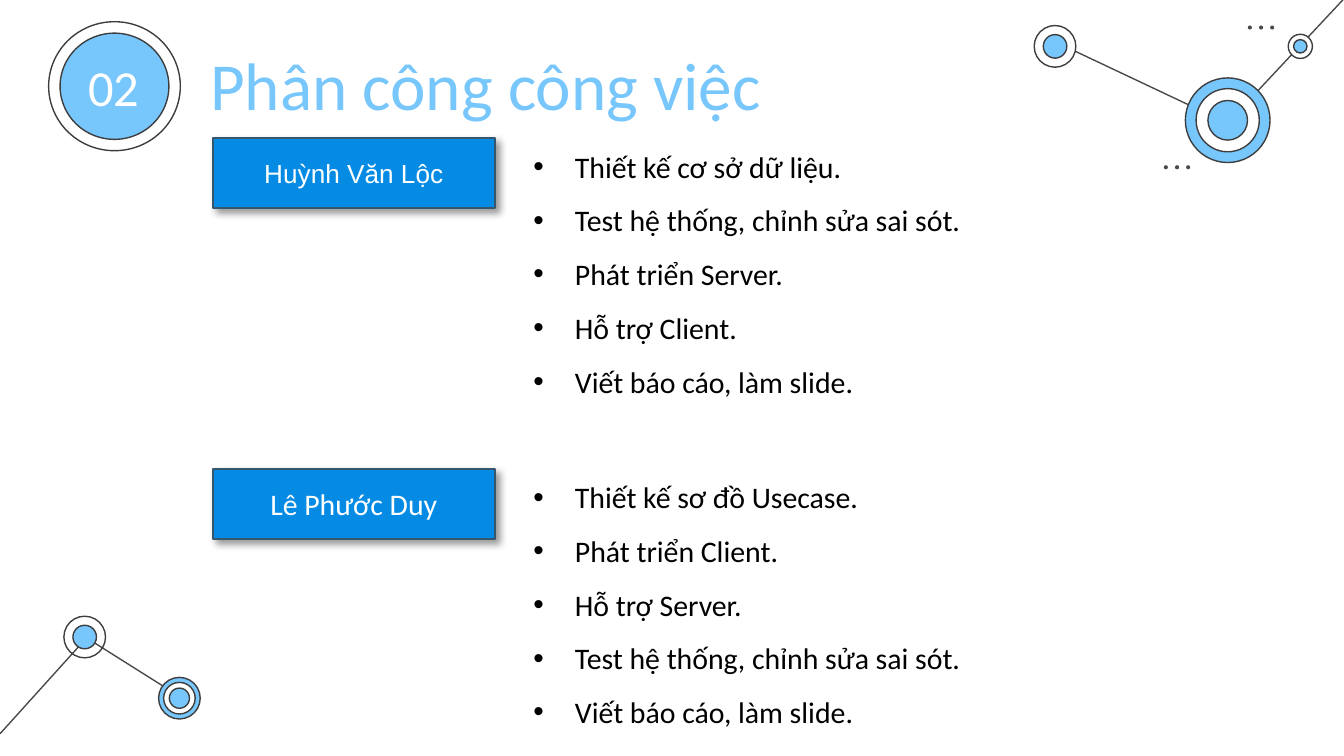
from lxml.etree import SubElement
from pptx import Presentation
from pptx.dml.color import RGBColor
from pptx.enum.shapes import MSO_CONNECTOR, MSO_SHAPE
from pptx.enum.text import MSO_ANCHOR, PP_ALIGN
from pptx.oxml import parse_xml
from pptx.oxml.ns import nsdecls, qn
from pptx.util import Inches, Pt

WHITE = RGBColor(0xFF, 0xFF, 0xFF)
BLACK = RGBColor(0x00, 0x00, 0x00)
SKY = RGBColor(0x77, 0xC6, 0xFC)
BLUE = RGBColor(0x06, 0x8B, 0xE4)
NAVY = RGBColor(0x34, 0x57, 0x6E)
GRAY = RGBColor(0x49, 0x49, 0x49)
DARK = RGBColor(0x3D, 0x3D, 0x3D)

# Widescreen slide, 16 to 9
presentation = Presentation()
presentation.slide_width = Inches(10)
presentation.slide_height = presentation.slide_width * 9 // 16
slide = presentation.slides.add_slide(presentation.slide_layouts[6])
shapes = slide.shapes

# Square grid: the slide is 100 columns wide, rows are as tall as columns
CELL = presentation.slide_width / 100


def grid(*cells):
    return [round(cell * CELL) for cell in cells]


def add_ellipse(center_x, center_y, width, height, fill, line):
    ellipse = shapes.add_shape(
        MSO_SHAPE.OVAL,
        *grid(center_x - width / 2, center_y - height / 2, width, height))
    ellipse.shadow.inherit = False
    if fill is None:
        ellipse.fill.background()
    else:
        ellipse.fill.solid()
        ellipse.fill.fore_color.rgb = fill
    if line is None:
        ellipse.line.fill.background()
    else:
        ellipse.line.color.rgb = line
        ellipse.line.width = Pt(0.75)


# Lines of the two networks
for ends in [(6.5, 47.5, 13.8, 52.1), (0, 54.6, 6.5, 47.4),
             (91.4, 9.2, 78.7, 3.2), (100, -0.1, 91.4, 9.1)]:
    connector = shapes.add_connector(MSO_CONNECTOR.STRAIGHT, *grid(*ends))
    connector.line.color.rgb = GRAY
    connector.line.width = Pt(0.75)
    SubElement(connector._element.spPr, qn("a:effectLst"))

# Nodes: center, then diameter and fill of each ring from the outside in
nodes = [
    (6.3, 47.4, [(3.1, None), (1.75, SKY)]),
    (13.35, 51.95, [(3.1, SKY), (2.35, WHITE), (1.5, SKY)]),
    (91.35, 8.95, [(6.3, SKY), (4.7, WHITE), (2.95, SKY)]),
    (78.5, 3.45, [(3.1, WHITE), (1.75, SKY)]),
    (96.75, 3.45, [(1.8, WHITE), (1.0, SKY)]),
]
for x, y, rings in nodes:
    for diameter, fill in rings:
        add_ellipse(x, y, diameter, diameter, fill, DARK)

# Rows of three dots
for x, y in [(93, 2.05), (86.75, 12.45)]:
    for step in range(3):
        add_ellipse(x + step * 0.83, y, 0.3, 0.3, GRAY, None)

# Number badge
add_ellipse(8.52, 6.42, 9.8, 9.6, WHITE, DARK)
add_ellipse(8.52, 6.42, 8.1, 7.9, SKY, DARK)

# Title and badge number
for text, box, size, color, align, anchor in [
    ("Phân công công việc", (14.65, 2.2, 53.1, 8.4), 36, SKY,
     PP_ALIGN.LEFT, MSO_ANCHOR.TOP),
    ("02", (5, 4.4, 6.9, 4), 27, WHITE, PP_ALIGN.CENTER, MSO_ANCHOR.MIDDLE),
]:
    frame = shapes.add_textbox(*grid(*box)).text_frame
    frame.word_wrap = True
    frame.vertical_anchor = anchor
    frame.margin_left = frame.margin_right = Inches(0.1)
    frame.margin_top = frame.margin_bottom = Inches(0.1)
    paragraph = frame.paragraphs[0]
    paragraph.alignment = align
    run = paragraph.add_run()
    run.text = text
    run.font.name = "Calibri"
    run.font.size = Pt(size)
    run.font.color.rgb = color

# Members: a name plate with a list of tasks beside it
members = [
    ("Huỳnh Văn Lộc", "Arial", 14, 10.3, 56.4, [
        "Thiết kế cơ sở dữ liệu.",
        "Test hệ thống, chỉnh sửa sai sót.",
        "Phát triển Server.",
        "Hỗ trợ Client.",
        "Viết báo cáo, làm slide."]),
    ("Lê Phước Duy", "Calibri", 16, 34.9, 58.7, [
        "Thiết kế sơ đồ Usecase.",
        "Phát triển Client.",
        "Hỗ trợ Server.",
        "Test hệ thống, chỉnh sửa sai sót.",
        "Viết báo cáo, làm slide."]),
]
for name, font_name, font_size, top, list_width, tasks in members:
    plate = shapes.add_shape(MSO_SHAPE.RECTANGLE, *grid(15.83, top, 21, 5.2))
    plate.fill.solid()
    plate.fill.fore_color.rgb = BLUE
    plate.line.color.rgb = NAVY
    plate.line.width = Pt(1)
    plate._element.spPr.append(parse_xml(
        f'<a:effectLst {nsdecls("a")}>'
        f'<a:outerShdw blurRad="{Pt(4)}" dist="{Pt(3)}" dir="2700000" '
        'algn="tl" rotWithShape="0"><a:srgbClr val="000000">'
        '<a:alpha val="40000"/></a:srgbClr></a:outerShdw></a:effectLst>'))
    plate.text_frame.vertical_anchor = MSO_ANCHOR.MIDDLE
    paragraph = plate.text_frame.paragraphs[0]
    paragraph.alignment = PP_ALIGN.CENTER
    run = paragraph.add_run()
    run.text = name
    run.font.name = font_name
    run.font.size = Pt(font_size)
    run.font.color.rgb = WHITE

    task_box = shapes.add_textbox(*grid(38.7, top - 1.08, list_width, 20.8))
    frame = task_box.text_frame
    frame.word_wrap = True
    for index, task in enumerate(tasks):
        paragraph = frame.add_paragraph() if index else frame.paragraphs[0]
        paragraph.line_spacing = 1.5
        properties = paragraph._p.get_or_add_pPr()
        properties.set("marL", str(Inches(0.31)))
        properties.set("indent", str(-Inches(0.31)))
        bullet_color = SubElement(properties, qn("a:buClr"))
        SubElement(bullet_color, qn("a:srgbClr"), val=str(BLACK))
        SubElement(properties, qn("a:buFont"), typeface="Arial")
        SubElement(properties, qn("a:buChar"), char="•")
        run = paragraph.add_run()
        run.text = task
        run.font.name = "Calibri"
        run.font.size = Pt(16)
        run.font.color.rgb = BLACK

presentation.save("out.pptx")
